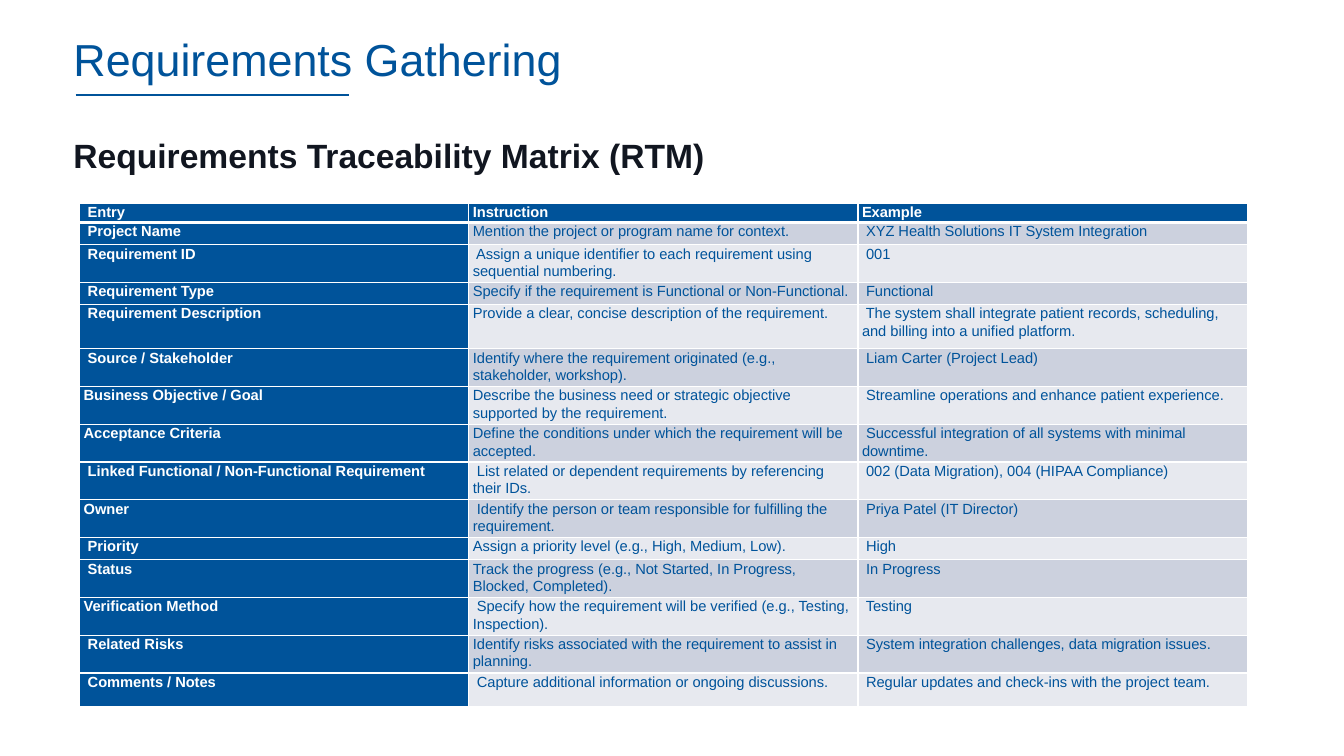
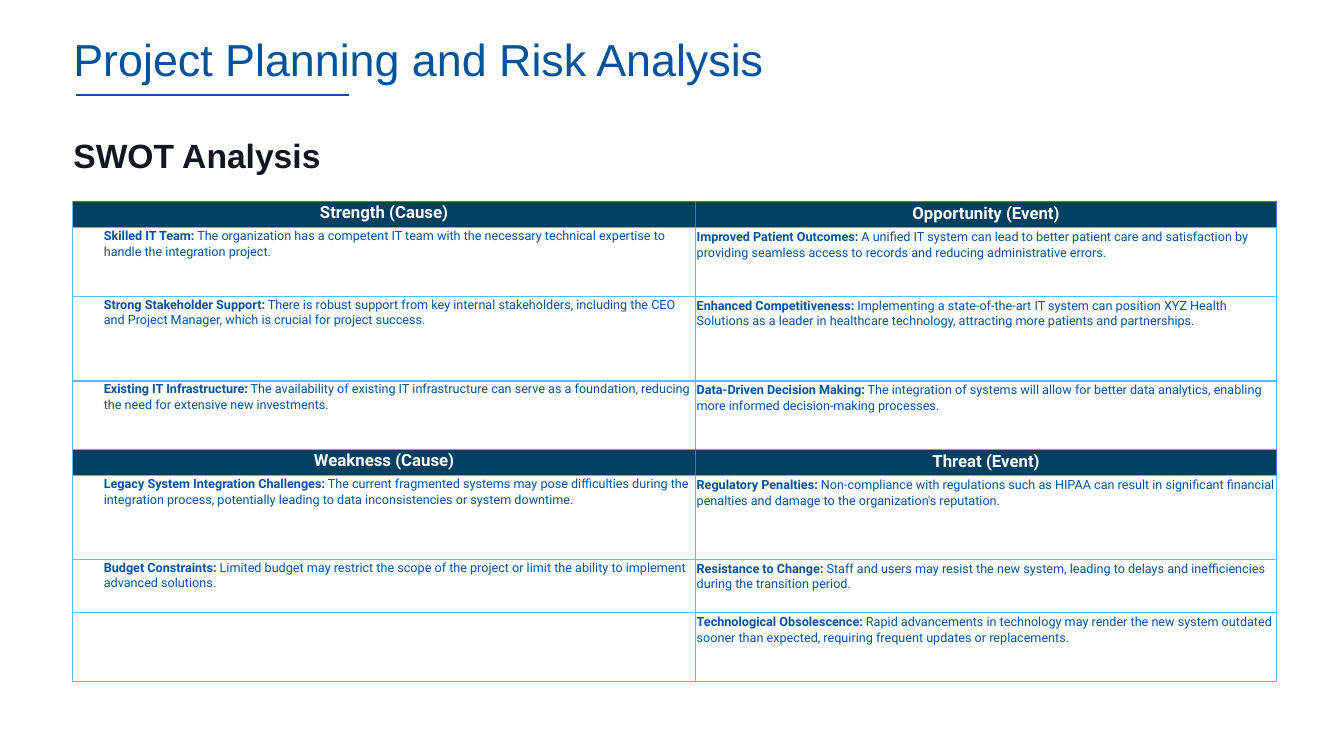
from lxml import etree
from pptx import Presentation
from pptx.dml.color import RGBColor
from pptx.enum.shapes import MSO_CONNECTOR
from pptx.enum.text import MSO_ANCHOR, PP_ALIGN
from pptx.oxml.ns import qn
from pptx.util import Inches, Pt

LINE, MID, TOP = MSO_CONNECTOR.STRAIGHT, MSO_ANCHOR.MIDDLE, MSO_ANCHOR.TOP
CENTER, LEFT = PP_ALIGN.CENTER, PP_ALIGN.LEFT
BLUE, INK, WHITE = "00539A", "111620", "FFFFFF"
NAVY, SKY, ROYAL = "004162", "51BFFC", "4472C4"
BANDS = ["CCD1DE", "E7E9EF"]
SANS, BODY = "Arial", "Roboto"

MATRIX = [
    (0.12, " Entry", "Instruction", "Example"),
    (0.22, " Project Name", "Mention the project or program name for context.",
     " XYZ Health Solutions IT System Integration"),
    (0.33, " Requirement ID",
     " Assign a unique identifier to each requirement using sequential numbering.", " 001"),
    (0.22, " Requirement Type",
     "Specify if the requirement is Functional or Non-Functional.", " Functional"),
    (0.44, " Requirement Description",
     "Provide a clear, concise description of the requirement.",
     " The system shall integrate patient records, scheduling, and billing into a unified platform."),
    (0.33, " Source / Stakeholder",
     "Identify where the requirement originated (e.g., stakeholder, workshop).",
     " Liam Carter (Project Lead)"),
    (0.33, "Business Objective / Goal",
     "Describe the business need or strategic objective supported by the requirement.",
     " Streamline operations and enhance patient experience."),
    (0.33, "Acceptance Criteria",
     "Define the conditions under which the requirement will be accepted.",
     " Successful integration of all systems with minimal downtime."),
    (0.33, " Linked Functional / Non-Functional Requirement",
     " List related or dependent requirements by referencing their IDs.",
     " 002 (Data Migration), 004 (HIPAA Compliance)"),
    (0.33, "Owner",
     " Identify the person or team responsible for fulfilling the requirement.",
     " Priya Patel (IT Director)"),
    (0.22, " Priority", "Assign a priority level (e.g., High, Medium, Low).", " High"),
    (0.33, " Status",
     "Track the progress (e.g., Not Started, In Progress, Blocked, Completed).",
     " In Progress"),
    (0.33, "Verification Method",
     " Specify how the requirement will be verified (e.g., Testing, Inspection).",
     " Testing"),
    (0.33, " Related Risks",
     "Identify risks associated with the requirement to assist in planning.",
     " System integration challenges, data migration issues."),
    (0.33, " Comments / Notes",
     " Capture additional information or ongoing discussions.",
     " Regular updates and check-ins with the project team."),
]

SWOT = [
    (0.26, ("Strength (Cause)",), ("Opportunity (Event)",)),
    (0.68,
     ("Skilled IT Team:", " The organization has a competent IT team with the necessary "
      "technical expertise to handle the integration project."),
     ("Improved Patient Outcomes:", " A unified IT system can lead to better patient care and "
      "satisfaction by providing seamless access to records and reducing administrative errors.")),
    (0.84,
     ("Strong Stakeholder Support:", " There is robust support from key internal stakeholders, "
      "including the CEO and Project Manager, which is crucial for project success."),
     ("Enhanced Competitiveness:", " Implementing a state-of-the-art IT system can position XYZ "
      "Health Solutions as a leader in healthcare technology, attracting more patients and "
      "partnerships.")),
    (0.68,
     ("Existing IT Infrastructure:", " The availability of existing IT infrastructure can serve "
      "as a foundation, reducing the need for extensive new investments."),
     ("Data-Driven Decision Making:", " The integration of systems will allow for better data "
      "analytics, enabling more informed decision-making processes.")),
    (0.26, ("Weakness (Cause)",), ("Threat (Event)",)),
    (0.83,
     ("Legacy System Integration Challenges:", " The current fragmented systems may pose "
      "difficulties during the integration process, potentially leading to data "
      "inconsistencies or system downtime."),
     ("Regulatory Penalties:", " Non-compliance with regulations such as HIPAA can result in "
      "significant financial penalties and damage to the organization's reputation.")),
    (0.53,
     ("Budget Constraints:", " Limited budget may restrict the scope of the project or limit "
      "the ability to implement advanced solutions."),
     ("Resistance to Change:", " Staff and users may resist the new system, leading to delays "
      "and inefficiencies during the transition period.")),
    (0.68, (),
     ("Technological Obsolescence:", " Rapid advancements in technology may render the new "
      "system outdated sooner than expected, requiring frequent updates or replacements.")),
]


def rgb(code):
    return RGBColor.from_string(code)


def write(par, text, size, face, color, bold=False):
    run = par.add_run()
    run.text = text
    font = run.font
    font.size, font.name, font.bold = Pt(size), face, bold
    font.color.rgb = rgb(color)


def label(slide, box, text, size, color, bold, anchor):
    frame = slide.shapes.add_textbox(*map(Inches, box)).text_frame
    frame.word_wrap, frame.vertical_anchor = True, anchor
    par = frame.paragraphs[0]
    par.line_spacing = 0.9
    write(par, text, size, SANS, color, bold)


def start(deck, title, topic):
    slide = deck.slides.add_slide(deck.slide_layouts[6])
    rule = slide.shapes.add_connector(LINE, *map(Inches, (0.75, 0.94, 3.46, 0.94)))
    rule.line.color.rgb, rule.line.width = rgb(BLUE), Pt(1.5)
    etree.SubElement(rule._element.spPr, qn("a:effectLst"))
    label(slide, (0.63, 0.15, 10.73, 0.93), title, 32, BLUE, False, MID)
    label(slide, (0.63, 1.33, 11.66, 0.6), topic, 24, INK, True, TOP)
    return slide


def grid(slide, left, top, cols, rows, tall):
    shape = slide.shapes.add_table(len(rows), len(cols), Inches(left), Inches(top),
                                   Inches(sum(cols)), Inches(tall))
    table = shape.table
    table.first_row = table.horz_banding = False
    for col, wide in zip(table.columns, cols):
        col.width = Inches(wide)
    for row, data in zip(table.rows, rows):
        row.height = Inches(data[0])
    shape.height = Inches(tall)
    return table


def edge(cell, sides):
    props = cell._tc.get_or_add_tcPr()
    for side, (color, width) in zip("LRTB", sides):
        line = etree.SubElement(props, qn("a:ln" + side), w=str(Pt(width)))
        fill = etree.SubElement(line, qn("a:solidFill"))
        etree.SubElement(fill, qn("a:srgbClr"), val=color)


def style(cell, sides, fill, pads):
    edge(cell, sides)
    if fill:
        cell.fill.solid()
        cell.fill.fore_color.rgb = rgb(fill)
    else:
        cell.fill.background()
    cell.margin_left = cell.margin_right = Inches(pads[0])
    cell.margin_top = cell.margin_bottom = Inches(pads[1])
    par = cell.text_frame.paragraphs[0]
    par.line_spacing = 1.07
    return par


def matrix(slide):
    table = grid(slide, 0.79, 2.02, [3.86] * 3, MATRIX, 4.98)
    for r, (_, *texts) in enumerate(MATRIX):
        for c, text in enumerate(texts):
            head = r == 0 or c == 0
            sides = [(WHITE, 1)] * 3 + [(WHITE, 1 if r else 3)]
            fill = BLUE if head else BANDS[(r - 1) % 2]
            par = style(table.cell(r, c), sides, fill, (0.04, 0))
            write(par, text, 10.5, SANS, WHITE if head else BLUE, head)


def swot(slide):
    table = grid(slide, 0.72, 2, [6.18, 5.76], SWOT, 4.76)
    for r, (_, *cells) in enumerate(SWOT):
        for c, parts in enumerate(cells):
            head = len(parts) == 1
            tints = [SKY] * 4
            if head:
                tints = [ROYAL if c else SKY, ROYAL, SKY if r else ROYAL, SKY]
            par = style(table.cell(r, c), [(tint, 1) for tint in tints],
                        NAVY if head else None, (0.01, 0.01) if c else (0.06, 0))
            par.alignment = CENTER if head else LEFT
            if not head and c == 0:
                par._p.get_or_add_pPr().set("marL", str(Inches(0.25)))
            for n, text in enumerate(parts):
                write(par, text, 12 if head else 9, BODY, WHITE if head else BLUE, n == 0)


def main():
    deck = Presentation()
    deck.slide_width, deck.slide_height = Inches(13.33), Inches(7.5)
    matrix(start(deck, "Requirements Gathering", "Requirements Traceability Matrix (RTM)"))
    swot(start(deck, "Project Planning and Risk Analysis", "SWOT Analysis"))
    deck.save("out.pptx")


if __name__ == "__main__":
    main()
